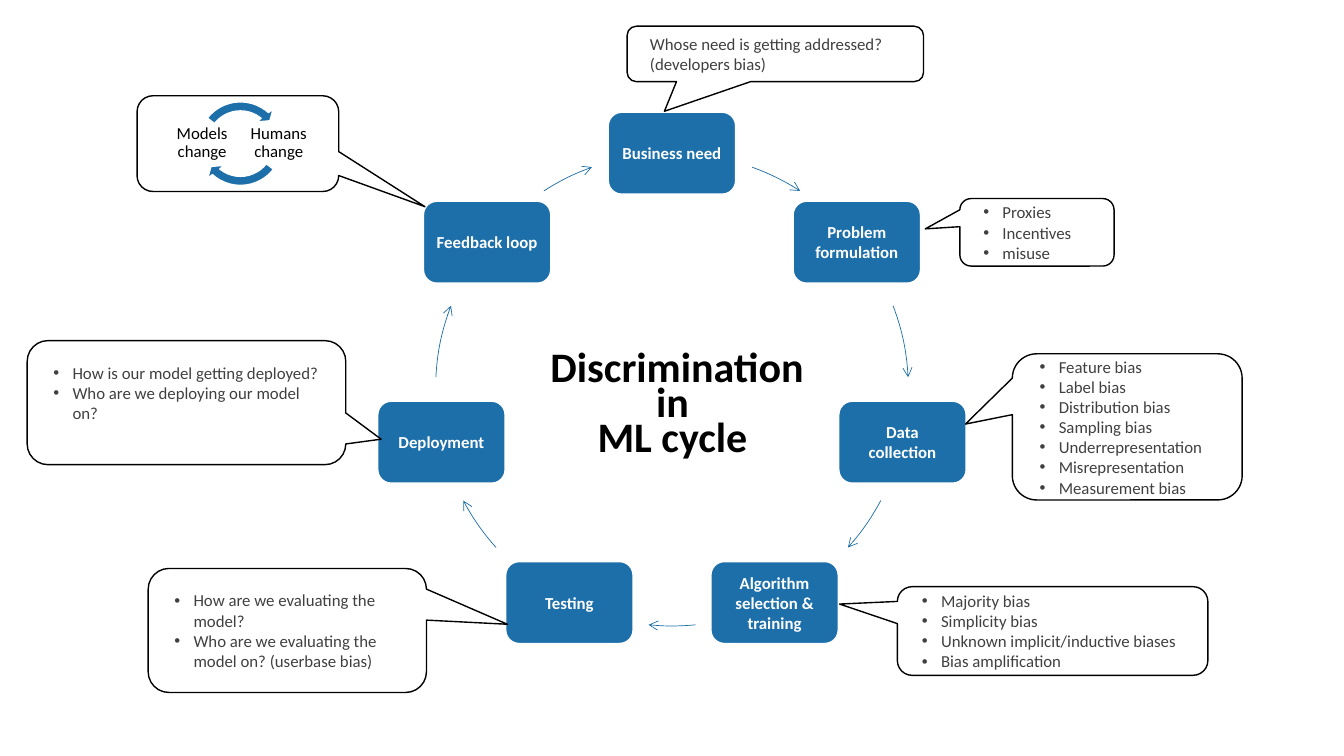
from dataclasses import dataclass
from math import cos, radians, sin

from lxml import etree
from pptx import Presentation
from pptx.dml.color import RGBColor
from pptx.enum import shapes, text
from pptx.oxml import ns
from pptx.util import Inches, Pt

KIND = shapes.MSO_SHAPE
ALIGN = text.PP_ALIGN


@dataclass(frozen=True)
class Theme:
    font: str = "Calibri"
    blue: str = "1D6FA9"
    white: str = "FFFFFF"
    black: str = "000000"
    gray: str = "404040"
    small: int = 12
    large: int = 30


LOOK = Theme()
MID = (6.665, 3.865)
RADIUS = 2.345
BOX = (1.27, 0.82)

STAGES = ["Business need", "Problem formulation", "Data collection",
          "Algorithm selection & training", "Testing", "Deployment",
          "Feedback loop"]

RIGHT = [(19.8, 32.8), (69.2, 87), (118, 131.9)]
ARCS = RIGHT + [(174.3, 185.7)] + [(360 - b, 360 - a) for a, b in RIGHT]

NOTES = [
    ((6.22, 0.26, 2.94, 0.55), (-0.374, 1.035), False, 0.16,
     ["Whose need is getting addressed? (developers bias)"]),
    ((9.52, 1.97, 1.53, 0.67), (-0.724, -0.051), True, 0.16,
     ["Proxies", "Incentives", "misuse"]),
    ((8.9, 5.82, 3.08, 0.88), (-0.686, -0.304), True, 0.16,
     ["Majority bias", "Simplicity bias", "Unknown implicit/inductive biases",
      "Bias amplification"]),
    ((0.27, 3.38, 3.16, 1.23), (0.611, 0.295), True, 0.36,
     ["How is our model getting deployed?",
      "Who are we deploying our model on?"]),
    ((1.47, 5.64, 2.76, 1.23), (0.791, -0.05), True, 0.16,
     ["How are we evaluating the model?",
      "Who are we evaluating the model on? (userbase bias)"]),
    ((10.04, 3.51, 2.28, 1.45), (-0.704, -0.019), True, 0.16,
     ["Feature bias", "Label bias", "Distribution bias", "Sampling bias",
      "Underrepresentation", "Misrepresentation", "Measurement bias"]),
]


def color(code):
    return RGBColor.from_string(code)


def write(shape, lines, size=LOOK.small, ink=LOOK.black, bold=False,
          align=ALIGN.CENTER, inset=(0.1, 0.05, 0.1, 0.05), space=None,
          bullet=False, anchor=text.MSO_ANCHOR.MIDDLE):
    frame = shape.text_frame
    frame.word_wrap = True
    frame.auto_size = text.MSO_AUTO_SIZE.NONE
    frame.vertical_anchor = anchor
    (frame.margin_left, frame.margin_top,
     frame.margin_right, frame.margin_bottom) = map(Inches, inset)
    frame.text = "\n".join(lines)
    for para in frame.paragraphs:
        para.alignment = align
        para.space_before = Pt(0)
        para.line_spacing = space
        for run in para.runs:
            run.font.name = LOOK.font
            run.font.size = Pt(size)
            run.font.bold = bold
            run.font.color.rgb = color(ink)
        if bullet:
            props = para._p.get_or_add_pPr()
            props.set("marL", str(Inches(0.19)))
            props.set("indent", str(Inches(-0.19)))
            face = etree.SubElement(props, ns.qn("a:buFont"))
            face.set("typeface", "Arial")
            mark = etree.SubElement(props, ns.qn("a:buChar"))
            mark.set("char", "•")


def draw(slide, kind, area, fill, line, width, adjust=()):
    shape = slide.shapes.add_shape(kind, *map(Inches, area))
    shape.shadow.inherit = False
    if fill:
        shape.fill.solid()
        shape.fill.fore_color.rgb = color(fill)
    else:
        shape.fill.background()
    shape.line.color.rgb = color(line)
    shape.line.width = Pt(width)
    for index, value in enumerate(adjust):
        shape.adjustments[index] = value
    return shape


def stage(slide, index, label):
    turn = radians(index * 360 / len(STAGES))
    left = MID[0] + RADIUS * sin(turn) - BOX[0] / 2
    top = MID[1] - RADIUS * cos(turn) - BOX[1] / 2
    box = draw(slide, KIND.ROUNDED_RECTANGLE, (left, top, *BOX),
               LOOK.blue, LOOK.white, 1.5)
    write(box, [label], ink=LOOK.white, bold=True, inset=[0.09] * 4)


def arc(slide, start, end):
    area = (MID[0] - RADIUS, MID[1] - RADIUS, 2 * RADIUS, 2 * RADIUS)
    angles = [(turn - 90) % 360 * 0.6 for turn in (start, end)]
    curve = draw(slide, KIND.ARC, area, None, LOOK.blue, 0.5, angles)
    line = curve.element.spPr.find(ns.qn("a:ln"))
    etree.SubElement(line, ns.qn("a:tailEnd")).set("type", "arrow")


def callout(slide, area, tip):
    return draw(slide, KIND.ROUNDED_RECTANGULAR_CALLOUT, area,
                LOOK.white, LOOK.black, 1, (*tip, 0.167))


def loop(slide):
    callout(slide, (1.36, 0.95, 2, 0.95), (0.928, 0.659))
    for left, label, turn in ((2.45, "Humans change", 0),
                              (1.69, "Models change", 108)):
        area = map(Inches, (left, 1.19, 0.63, 0.46))
        write(slide.shapes.add_textbox(*area), [label],
              inset=[0.02] * 4, space=0.9)
        draw(slide, KIND.CIRCULAR_ARROW, (1.91, 0.95, 0.95, 0.95),
             LOOK.blue, LOOK.white, 1,
             (0.095, 6.853, 78.493 + turn, 22.654 + turn, 0.111))


def title(slide):
    head = slide.shapes.title
    head.left, head.top, head.width, head.height = map(
        Inches, (5.09, 3.46, 3.16, 1.09))
    write(head, [" Discrimination in", "ML cycle"], size=LOOK.large,
          bold=True, space=0.7, anchor=text.MSO_ANCHOR.TOP)


def main():
    deck = Presentation()
    deck.slide_width, deck.slide_height = Inches(13.33), Inches(7.5)
    slide = deck.slides.add_slide(deck.slide_layouts.get_by_name("Title Only"))
    title(slide)
    for index, label in enumerate(STAGES):
        stage(slide, index, label)
    for start, end in ARCS:
        arc(slide, start, end)
    for area, tip, bullet, base, lines in NOTES:
        write(callout(slide, area, tip), lines, ink=LOOK.gray,
              align=ALIGN.LEFT, inset=(0.2, 0.16, 0.2, base), bullet=bullet)
    loop(slide)
    deck.save("out.pptx")


if __name__ == "__main__":
    main()
